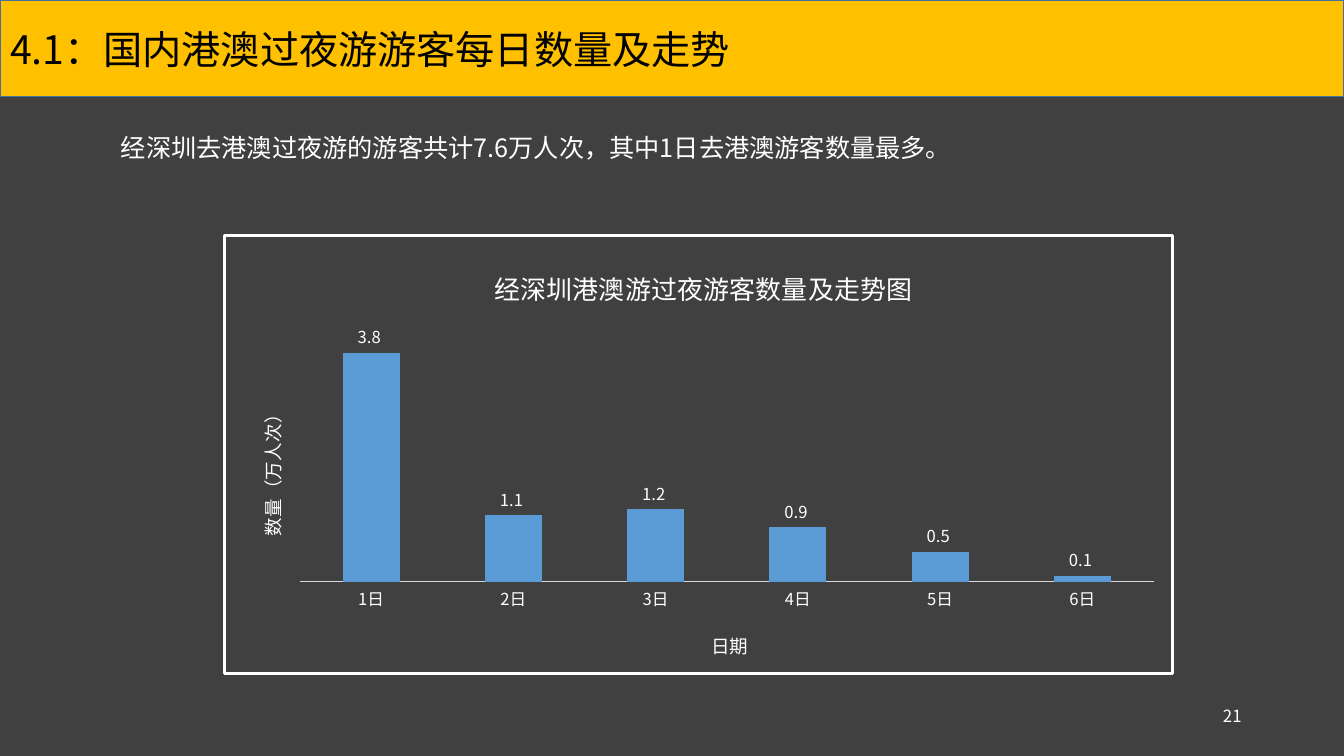
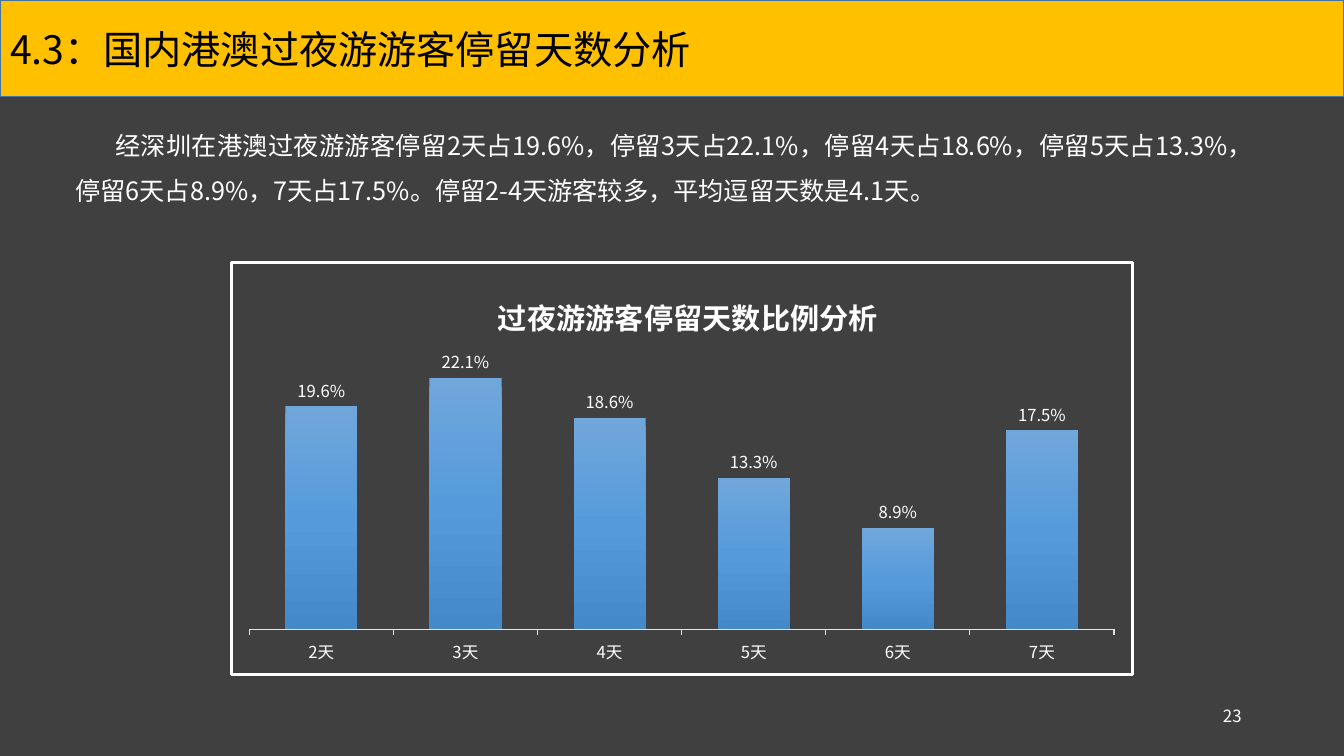
from copy import deepcopy
from dataclasses import dataclass

from lxml.etree import SubElement
from pptx import Presentation
from pptx.chart.data import CategoryChartData
from pptx.dml.color import RGBColor
from pptx.enum.chart import XL_CHART_TYPE, XL_LABEL_POSITION, XL_TICK_MARK
from pptx.enum.text import MSO_ANCHOR, MSO_AUTO_SIZE, PP_ALIGN
from pptx.oxml import parse_xml
from pptx.oxml.ns import nsdecls, qn
from pptx.util import Cm, Pt


@dataclass(frozen=True)
class Theme:
    """Colours, type face and type sizes of the deck."""
    face: str = "Noto Sans CJK SC"
    back: str = "404040"
    band: str = "FFC000"
    edge: str = "43739E"
    ink: str = "000000"
    light: str = "FFFFFF"
    bar: str = "5B9BD5"
    fade: tuple = ((0, "71A6DB"), (0.5, "559BDB"), (1, "448ACA"))
    head: float = 28
    body: float = 18
    page: float = 12
    label: float = 11.9
    axis: float = 13.3


THEME = Theme()
WIDTH, HEIGHT = 33.87, 19.05


def rgb(code):
    """Turn a hex code into a colour."""
    return RGBColor.from_string(code)


def style(font, size, color=THEME.light, bold=False):
    """Set size, colour, weight and face for Latin and Chinese text."""
    font.size, font.bold, font.name = Pt(size), bold, THEME.face
    font.color.rgb = rgb(color)
    SubElement(font._rPr, qn("a:ea"), typeface=THEME.face)


def outline(line, color, width):
    """Draw a plain line of the given colour and width."""
    line.color.rgb = rgb(color)
    line.width = Pt(width)


def place(node, spot):
    """Give a chart part a fixed place as shares of the chart."""
    old = node.find(qn("c:layout"))
    if old is not None:
        node.remove(old)
    layout = parse_xml(f"<c:layout {nsdecls('c')}/>")
    manual = SubElement(layout, qn("c:manualLayout"))
    if len(spot) == 4:
        SubElement(manual, qn("c:layoutTarget"), val="inner")
    for mode in ("xMode", "yMode"):
        SubElement(manual, qn(f"c:{mode}"), val="edge")
    for key, share in zip("xywh", spot):
        SubElement(manual, qn(f"c:{key}"), val=str(share))
    node.insert(0 if node.find(qn("c:tx")) is None else 1, layout)


def add_head(slide, text):
    """Turn the title placeholder into the yellow band."""
    title = slide.shapes.title
    title.left, title.top, title.width, title.height = Cm(0), Cm(0), Cm(WIDTH), Cm(2.44)
    title.fill.solid()
    title.fill.fore_color.rgb = rgb(THEME.band)
    outline(title.line, THEME.edge, 1)
    frame = title.text_frame
    frame.text = text
    frame.auto_size = MSO_AUTO_SIZE.NONE
    frame.vertical_anchor = MSO_ANCHOR.MIDDLE
    para = frame.paragraphs[0]
    para.alignment = PP_ALIGN.LEFT
    style(para.font, THEME.head, THEME.ink)


def add_text(slide, box, text, size, align):
    """Add a wrapped text box and return its paragraph."""
    frame = slide.shapes.add_textbox(*map(Cm, box)).text_frame
    frame.word_wrap = True
    frame.text = text
    para = frame.paragraphs[0]
    para.alignment = align
    style(para.font, size)
    return para


def add_body(slide, box, text):
    """Add the justified summary with an indented first line."""
    para = add_text(slide, box, text, THEME.body, PP_ALIGN.JUSTIFY)
    para.line_spacing = 1.5
    para._p.get_or_add_pPr().set("indent", str(Cm(1)))


def add_page(slide, number):
    """Add the page number at the lower right."""
    box = (23.92, 17.65, 7.62, 1.02)
    add_text(slide, box, str(number), THEME.page, PP_ALIGN.RIGHT)


def add_name(owner, text, spot, size, bold=False):
    """Title a chart or an axis at a fixed place."""
    owner.has_title = True
    title = owner.chart_title if hasattr(owner, "chart_title") else owner.axis_title
    title.text_frame.text = text
    style(title.text_frame.paragraphs[0].font, size, bold=bold)
    place(title._element, spot)


def add_frame(chart):
    """Draw the white border round the chart."""
    chart._chartSpace.find(qn("c:chart")).addnext(parse_xml(
        f'<c:spPr {nsdecls("c", "a")}><a:noFill/><a:ln w="{Pt(2.25)}"><a:solidFill>'
        f'<a:srgbClr val="{THEME.light}"/></a:solidFill><a:round/></a:ln></c:spPr>'))


def add_fade(row):
    """Fill a series with the three-stop blue gradient."""
    fill = row.format.fill
    fill.gradient()
    fill.gradient_angle = 270
    stops = row._element.find(".//" + qn("a:gsLst"))
    stops.insert(1, deepcopy(stops[0]))
    for stop, (pos, color) in zip(fill.gradient_stops, THEME.fade):
        stop.position, stop.color.rgb = pos, rgb(color)


def add_bars(slide, box, cats, vals, form, top, gap, plot, line):
    """Add a framed column chart with a hidden value axis."""
    data = CategoryChartData()
    data.categories = cats
    data.add_series("Series 1", vals)
    chart = slide.shapes.add_chart(
        XL_CHART_TYPE.COLUMN_CLUSTERED, *map(Cm, box), data).chart
    chart.has_legend = False
    style(chart.font, THEME.label)
    add_frame(chart)
    place(chart._chartSpace.find(".//" + qn("c:plotArea")), plot)

    value = chart.value_axis
    value.visible = value.has_major_gridlines = False
    value.minimum_scale, value.maximum_scale = 0, top
    base = chart.category_axis
    base.major_tick_mark = XL_TICK_MARK.NONE
    outline(base.format.line, line, 0.75)

    bars = chart.plots[0]
    bars.gap_width, bars.vary_by_categories = gap, False
    bars.has_data_labels = True
    labels = bars.data_labels
    labels.show_value = True
    labels.position = XL_LABEL_POSITION.OUTSIDE_END
    labels.number_format, labels.number_format_is_linked = form, False
    style(labels.font, THEME.label)
    return chart


def add_slide(deck, head, box, text, page):
    """Start a slide with its band, summary and page number."""
    slide = deck.slides.add_slide(deck.slide_layouts[5])
    add_head(slide, head)
    add_body(slide, box, text)
    add_page(slide, page)
    return slide


def add_daily(deck):
    """Build the slide on visitors per day."""
    slide = add_slide(
        deck, "4.1：国内港澳过夜游游客每日数量及走势", (1.8, 2.84, 30.8, 1.4),
        "经深圳去港澳过夜游的游客共计7.6万人次，其中1日去港澳游客数量最多。", 21)
    chart = add_bars(
        slide, (5.61, 5.89, 23.98, 11.13), [f"{day}日" for day in range(1, 7)],
        (3.8, 1.1, 1.2, 0.9, 0.5, 0.1), r"#,##0.0_);[Red]\(#,##0.0\)",
        4, 150, (0.08, 0.24, 0.9, 0.55), "D9D9D9")
    add_name(chart, "经深圳港澳游过夜游客数量及走势图", (0.28, 0.06), 18.6)
    add_name(chart.category_axis, "日期", (0.51, 0.89), THEME.axis)
    add_name(chart.value_axis, "数量（万人次）", (0.03, 0.38), THEME.axis)
    fill = chart.plots[0].series[0].format.fill
    fill.solid()
    fill.fore_color.rgb = rgb(THEME.bar)


def add_stay(deck):
    """Build the slide on length of stay."""
    slide = add_slide(
        deck, "4.3：国内港澳过夜游游客停留天数分析", (1.65, 2.77, 30.18, 2.57),
        "经深圳在港澳过夜游游客停留2天占19.6%，停留3天占22.1%，停留4天占18.6%，"
        "停留5天占13.3%，停留6天占8.9%，7天占17.5%。"
        "停留2-4天游客较多，平均逗留天数是4.1天。", 23)
    chart = add_bars(
        slide, (5.79, 6.58, 22.78, 10.46), [f"{day}天" for day in range(2, 8)],
        (0.196, 0.221, 0.186, 0.133, 0.089, 0.175), "0.0%",
        0.25, 100, (0.02, 0.2, 0.96, 0.69), "E0E5EB")
    add_name(chart, "过夜游游客停留天数比例分析", (0.29, 0.06), 20.9, True)
    chart.category_axis.major_tick_mark = XL_TICK_MARK.OUTSIDE
    add_fade(chart.plots[0].series[0])


def main():
    """Build and save the deck."""
    deck = Presentation()
    deck.slide_width, deck.slide_height = Cm(WIDTH), Cm(HEIGHT)
    fill = deck.slide_master.background.fill
    fill.solid()
    fill.fore_color.rgb = rgb(THEME.back)
    add_daily(deck)
    add_stay(deck)
    deck.save("out.pptx")


if __name__ == "__main__":
    main()
